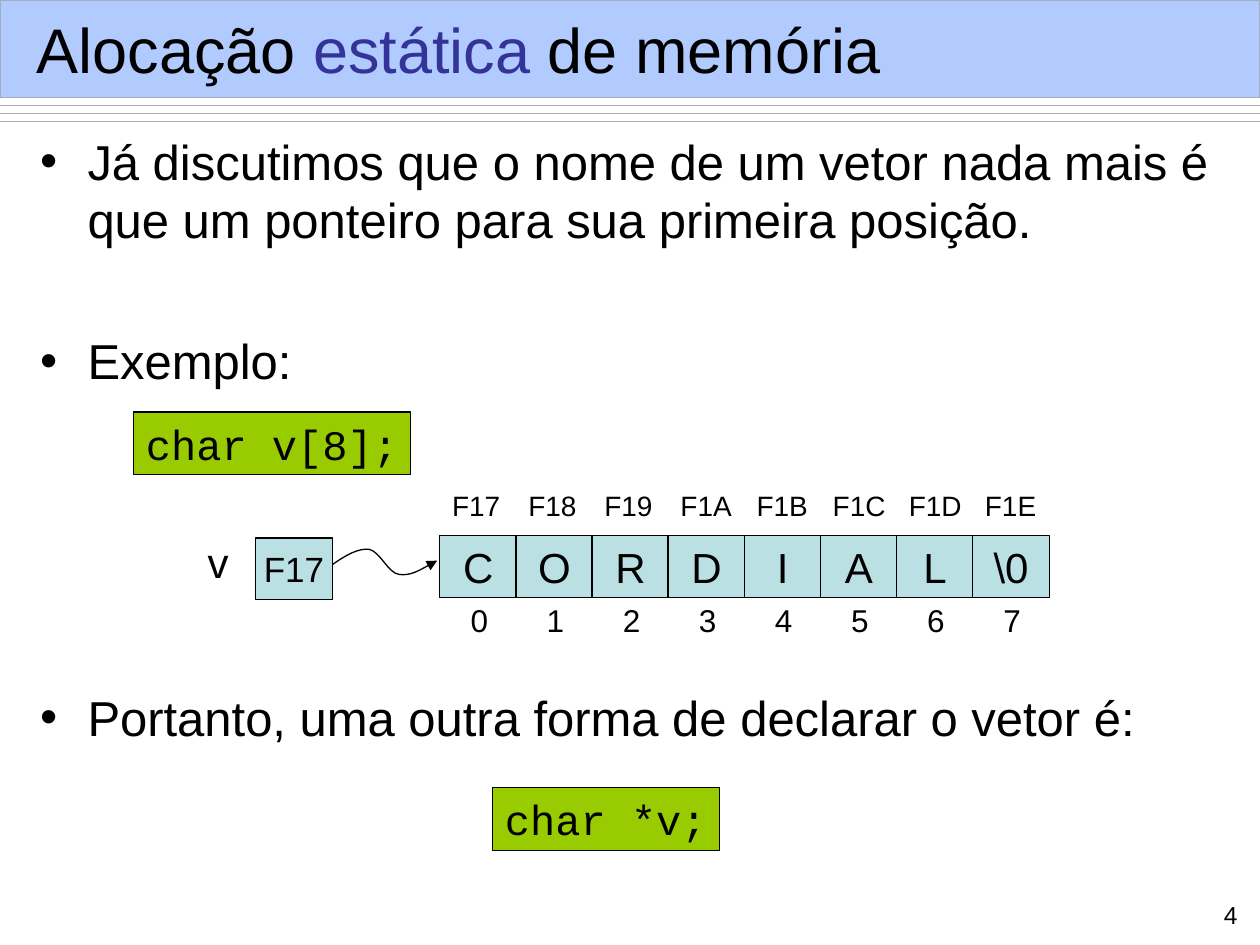
"""Build the slide on static memory allocation."""
from lxml.etree import SubElement
from pptx import Presentation
from pptx.dml.color import RGBColor
from pptx.enum.shapes import MSO_CONNECTOR as Link, MSO_SHAPE as Kind
from pptx.enum.text import MSO_ANCHOR as Anchor, MSO_AUTO_SIZE as Auto, PP_ALIGN as Align
from pptx.oxml.ns import qn
from pptx.util import Pt

BLACK, GREEN, AQUA, GREY = "000000", "99CC00", "BBE0E3", "A3AEB7"
TITLE = [("Alocação ", BLACK), ("estática", "333399"), (" de memória", BLACK)]
POINTS = [
    ("Já discutimos que o nome de um vetor nada mais é que um ponteiro para sua primeira posição.", 0),
    ("Exemplo:", 47),
    ("Portanto, uma outra forma de declarar o vetor é:", 170),
]
CELLS = [("F17", "C"), ("F18", "O"), ("F19", "R"), ("F1A", "D"),
         ("F1B", "I"), ("F1C", "A"), ("F1D", "L"), ("F1E", "\\0")]
CODES = [("char v[8];", (76.3, 235.4, 158.4, 36)), ("char *v;", (281.5, 450, 129.6, 36))]
RULES = [60.3, 64.8, 69.4]
CURVE = [(190, 322.6), (197.3, 317.5), (204.5, 313.2), (211, 313.9),
         (217.4, 315.4), (221.8, 327.6), (228.2, 328.3),
         (234.7, 329), (241.9, 324.7), (249.8, 320.4)]
LEFT, TOP, PITCH, WIDE, HIGH = 251.3, 306, 43.5, 44, 35.3


def hue(code):
    return RGBColor.from_string(code)


def style(thing, **values):
    for name, value in values.items():
        setattr(thing, name, value)


def ink(run, size, color=BLACK, face="Arial"):
    style(run.font, size=Pt(size), name=face)
    run.font.color.rgb = hue(color)


def place(shape, box):
    style(shape, **dict(zip(("left", "top", "width", "height"), map(Pt, box))))


def edge(shape, color):
    shape.line.color.rgb = hue(color)
    shape.line.width = Pt(0.75)


def write(shape, text, size, face="Arial", align=Align.LEFT, anchor=Anchor.TOP):
    frame = shape.text_frame
    style(frame, word_wrap=False, vertical_anchor=anchor)
    para = frame.paragraphs[0]
    para.alignment = align
    run = para.add_run()
    run.text = text
    ink(run, size, face=face)


def block(shapes, box, fill, line=BLACK):
    shape = shapes.add_shape(Kind.RECTANGLE, *map(Pt, box))
    shape.shadow.inherit = False
    shape.fill.solid()
    shape.fill.fore_color.rgb = hue(fill)
    edge(shape, line)
    return shape


def cell(shapes, box, text, size):
    write(block(shapes, box, AQUA), text, size, align=Align.CENTER, anchor=Anchor.MIDDLE)


def label(shapes, box, text, size, align=Align.LEFT):
    shape = shapes.add_textbox(*map(Pt, box))
    write(shape, text, size, align=align)
    shape.text_frame.auto_size = Auto.SHAPE_TO_FIT_TEXT


def banner(shapes):
    for y in RULES:
        rule = shapes.add_connector(Link.STRAIGHT, 0, Pt(y), Pt(720), Pt(y))
        edge(rule, GREY)
        SubElement(rule.element.spPr, qn("a:effectLst"))
    band = block(shapes, (0, 0, 720, 55.6), "6699FF", GREY)
    tint = band.element.spPr.find(qn("a:solidFill"))[0]
    SubElement(tint, qn("a:alpha")).set("val", "50000")


def heading(shapes):
    title = shapes.title
    shapes.element.append(title.element)
    place(title, (13.7, 6.5, 694, 42.5))
    style(title.text_frame, auto_size=Auto.NONE, vertical_anchor=Anchor.MIDDLE)
    para = title.text_frame.paragraphs[0]
    para.alignment = Align.LEFT
    for text, color in TITLE:
        run = para.add_run()
        run.text = text
        ink(run, 36, color)


def bullets(shapes, body):
    shapes.element.append(body.element)
    place(body, (15.8, 71.3, 687, 449.3))
    frame = body.text_frame
    frame.auto_size = Auto.NONE
    for i, (text, gap) in enumerate(POINTS):
        para = frame.add_paragraph() if i else frame.paragraphs[0]
        para.space_before = Pt(gap)
        props = para._p.get_or_add_pPr()
        props.set("marL", str(Pt(27)))
        props.set("indent", str(-Pt(27)))
        SubElement(props, qn("a:buChar")).set("char", "•")
        run = para.add_run()
        run.text = text
        ink(run, 28)


def pointer(shapes):
    pen = shapes.build_freeform(*map(Pt, CURVE[0]))
    pen.add_line_segments([(Pt(x), Pt(y)) for x, y in CURVE[1:]], close=False)
    curve = pen.convert_to_shape()
    curve.shadow.inherit = False
    curve.fill.background()
    edge(curve, BLACK)
    props = curve.element.spPr
    SubElement(props.find(qn("a:ln")), qn("a:tailEnd")).set("type", "triangle")
    track = next(props.iter(qn("a:path")))
    steps = track.findall(qn("a:lnTo"))
    for i in range(0, len(steps), 3):
        bend = SubElement(track, qn("a:cubicBezTo"))
        for step in steps[i:i + 3]:
            bend.append(step[0])
            track.remove(step)


def vector(shapes):
    for i, (spot, sign) in enumerate(CELLS):
        x = LEFT + i * PITCH
        cell(shapes, (x, TOP, WIDE, HIGH), sign, 24)
        label(shapes, (x, 275.8, 45, 26.6), spot, 16)
        label(shapes, (x + 10.5, 340, 24.5, 28.8), str(i), 18)
    label(shapes, (111.6, 303.1, 26.4, 36), "v", 24)
    cell(shapes, (146, 307.4, WIDE, HIGH), "F17", 20)
    pointer(shapes)


def main():
    deck = Presentation()
    style(deck, slide_width=Pt(720), slide_height=Pt(540))
    slide = deck.slides.add_slide(deck.slide_layouts[1])
    shapes = slide.shapes
    banner(shapes)
    bullets(shapes, slide.placeholders[1])
    heading(shapes)
    vector(shapes)
    for text, box in CODES:
        write(block(shapes, box, GREEN), text, 24, "Courier New")
    label(shapes, (692, 510.5, 22.2, 23), "4", 14, Align.RIGHT)
    deck.save("out.pptx")


if __name__ == "__main__":
    main()
